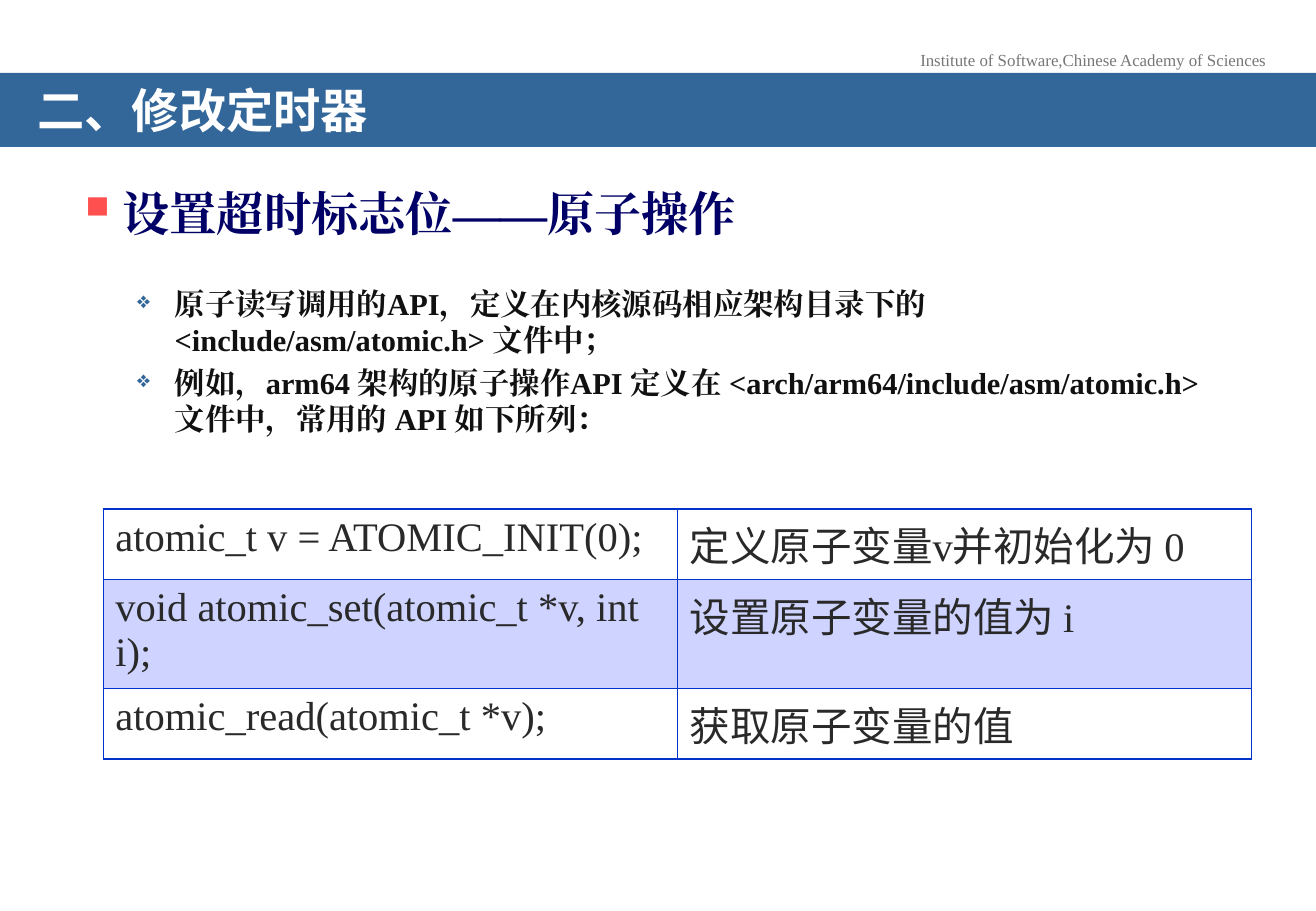
from pptx import Presentation, util as u
from pptx.dml.color import RGBColor
from pptx.enum import shapes, text
from pptx.oxml import parse_xml
from pptx.oxml.ns import nsdecls, qn

W, H = 10.83, 7.5
SERIF, SANS = "Times New Roman", "Noto Sans CJK SC"
C = {"band": "336699", "title": "FFFFFF", "institute": "777777", "heading": "000066",
     "square": "FF5050", "body": "111111", "cell": "292929", "border": "0033CC",
     "stripe": "CED3FF", "plain": "FFFFFF"}

prs = Presentation()
prs.slide_width, prs.slide_height = u.Inches(W), u.Inches(H)
s = prs.slides.add_slide(prs.slide_layouts[6])


def write(p, words, size, color, latin=SERIF, asian=SERIF, bold=False):
    r = p.add_run()
    r.text = words
    for name, value in {"size": u.Pt(size), "name": latin, "bold": bold}.items():
        setattr(r.font, name, value)
    r.font.color.rgb = RGBColor.from_string(C[color])
    r.font._element.find(qn("a:latin")).addnext(
        parse_xml(f'<a:ea {nsdecls("a")} typeface="{asian}"/>'))


def add_box(x, y, w, h):
    sp = s.shapes.add_textbox(*map(u.Inches, (x, y, w, h)))
    sp.text_frame.word_wrap = True
    return sp.text_frame


# Institute line
tf = add_box(7.36, 0.36, 3.27, 0.27)
tf.paragraphs[0].alignment = text.PP_ALIGN.CENTER
write(tf.paragraphs[0], "Institute of Software,Chinese Academy of Sciences", 10, "institute")

# Title band
sp = s.shapes.add_shape(shapes.MSO_SHAPE.RECTANGLE, 0, u.Inches(0.6), prs.slide_width, u.Inches(0.61))
sp.shadow.inherit = False
sp.fill.solid()
sp.fill.fore_color.rgb = RGBColor.from_string(C["band"])
sp.line.fill.background()
tf = sp.text_frame
for name, value in {"margin_left": 0.31, "margin_top": 0.16, "margin_right": 0.31, "margin_bottom": 0.05}.items():
    setattr(tf, name, u.Inches(value))
tf.vertical_anchor = text.MSO_ANCHOR.MIDDLE
p = tf.paragraphs[0]
p.alignment, p.line_spacing = text.PP_ALIGN.LEFT, 0.7
write(p, "二、修改定时器", 28, "title", SANS, SANS, True)

# Heading and its two points: words, size, colour, bullet, bullet colour, bullet %, margin, indent, space before
points = [
    ("设置超时标志位——原子操作", 28, "heading", "▪", "square", 120, 0.38, 0.38, 0),
    ("原子读写调用的API，定义在内核源码相应架构目录下的 <include/asm/atomic.h> 文件中；",
     18, "body", "❖", "band", 75, 0.81, 0.31, 26),
    ("例如，arm64 架构的原子操作API 定义在 <arch/arm64/include/asm/atomic.h>文件中，常用的 API 如下所列：",
     18, "body", "❖", "band", 75, 0.81, 0.31, 3.6),
]
tf = add_box(0.53, 1.47, 9.53, 2.5)
for i, (words, size, color, mark, mark_color, percent, margin, indent, before) in enumerate(points):
    p = tf.add_paragraph() if i else tf.paragraphs[0]
    pPr = p._p.get_or_add_pPr()
    pPr.set("marL", str(u.Inches(margin)))
    pPr.set("indent", str(-u.Inches(indent)))
    for bullet in (f'<a:buClr {nsdecls("a")}><a:srgbClr val="{C[mark_color]}"/></a:buClr>',
                   f'<a:buSzPct {nsdecls("a")} val="{percent * 1000}"/>',
                   f'<a:buChar {nsdecls("a")} char="{mark}"/>'):
        pPr.append(parse_xml(bullet))
    if before:
        p.space_before = u.Pt(before)
    write(p, words, size, color, bold=True)

# Table of atomic calls
rows = [("atomic_t v = ATOMIC_INIT(0);", "定义原子变量v并初始化为 0"),
        ("void atomic_set(atomic_t *v, int i);", "设置原子变量的值为 i"),
        ("atomic_read(atomic_t *v);", "获取原子变量的值")]
heights = (0.58, 0.84, 0.58)
table = s.shapes.add_table(3, 2, *map(u.Inches, (0.85, 4.19, 9.45, sum(heights)))).table
for i, row in enumerate(rows):
    table.rows[i].height = u.Inches(heights[i])
    for j, words in enumerate(row):
        cell = table.cell(i, j)
        write(cell.text_frame.paragraphs[0], words, 24, "cell", asian=SANS)
        tcPr = cell._tc.get_or_add_tcPr()
        for side in "LRTB":
            tcPr.append(parse_xml(
                f'<a:ln{side} {nsdecls("a")} w="12700"><a:solidFill>'
                f'<a:srgbClr val="{C["border"]}"/></a:solidFill></a:ln{side}>'))
        cell.fill.solid()
        cell.fill.fore_color.rgb = RGBColor.from_string(C["stripe" if i % 2 else "plain"])

prs.save("out.pptx")
